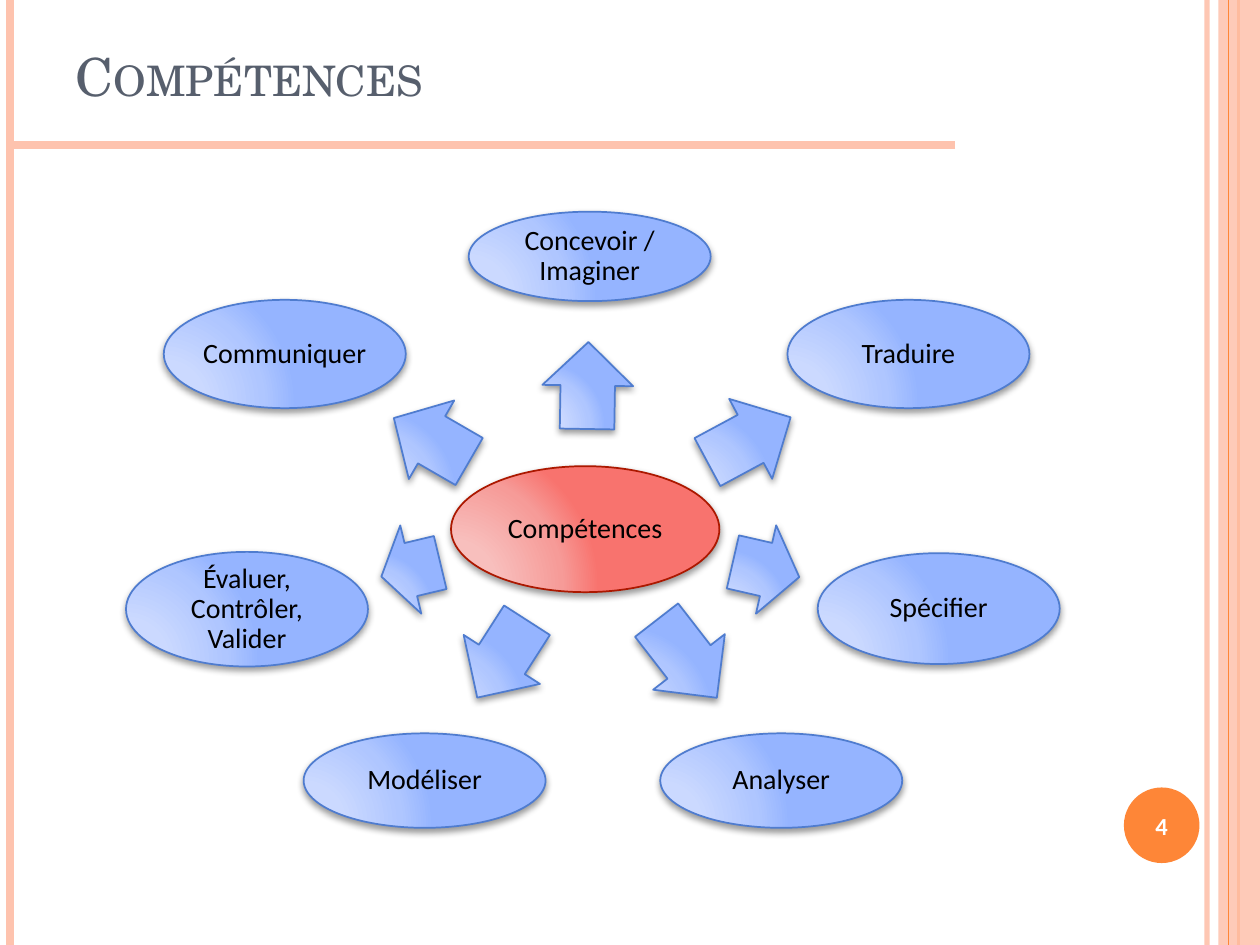
from dataclasses import dataclass

import lxml.etree
import pptx
import pptx.dml.color
import pptx.enum.shapes
import pptx.enum.text
import pptx.oxml
import pptx.oxml.ns
import pptx.util

Inches = pptx.util.Inches
Pt = pptx.util.Pt
RGBColor = pptx.dml.color.RGBColor
Shapes = pptx.enum.shapes.MSO_SHAPE
Align = pptx.enum.text.PP_ALIGN
Anchor = pptx.enum.text.MSO_ANCHOR
qn = pptx.oxml.ns.qn

PEACH = RGBColor(0xFE, 0xC3, 0xAE)
ORANGE = RGBColor(0xFE, 0x86, 0x37)
SLATE = RGBColor(0x57, 0x5F, 0x6D)
WHITE = RGBColor(0xFF, 0xFF, 0xFF)
BLACK = RGBColor(0, 0, 0)
BLUE_LINE = RGBColor(0x4F, 0x7C, 0xCF)
RED_LINE = RGBColor(0xAC, 0x18, 0x00)
BLUES = [RGBColor.from_string(c) for c in ("CFDCFF", "CBD9FF", "AFC6FF", "95B4FF")]
REDS = [RGBColor.from_string(c) for c in ("F8C5C3", "F8BFBD", "F69B98", "F8736E")]
STOPS = (0, 30, 75, 100)

BUBBLE_WIDTH = 1.92
ARROW_HEIGHT = 0.72


@dataclass
class Rule:
    start: tuple[float, float]
    end: tuple[float, float]
    color: RGBColor
    width: float
    opacity: int = 100


@dataclass
class Skill:
    """A bubble and the arrow that leads to it from the hub."""
    text: str
    left: float
    top: float
    height: float
    arrow_left: float
    arrow_top: float
    arrow_width: float
    angle: float


def vertical(x: float, color: RGBColor, width: float, opacity: int = 100) -> Rule:
    return Rule((x, 0), (x, 7.5), color, width, opacity)


SIDE_RULES = [
    vertical(9.58, PEACH, 3, 93),
    vertical(0.08, PEACH, 4.5),
    vertical(9.83, ORANGE, 1.5),
]
INNER_RULE = vertical(9.75, ORANGE, 0.75)
TITLE_RULE = Rule((7.58, 1.15), (0.08, 1.15), PEACH, 4.5)

SKILLS = [
    Skill("Concevoir / Imaginer", 3.72, 1.68, 0.71, 4.32, 2.70, 0.69, 270.9),
    Skill("Traduire", 6.25, 2.38, 0.86, 5.57, 3.13, 0.75, 331.7),
    Skill("Spécifier", 6.49, 4.39, 0.88, 5.81, 4.16, 0.54, 12.9),
    Skill("Analyser", 5.24, 5.82, 0.75, 5.06, 4.87, 0.78, 52.2),
    Skill("Modéliser", 2.41, 5.82, 0.75, 3.62, 4.87, 0.73, 122.7),
    Skill("Évaluer, Contrôler, Valider", 1.00, 4.38, 0.91, 3.02, 4.16, 0.48, 166.6),
    Skill("Communiquer", 1.30, 2.38, 0.86, 3.08, 3.13, 0.69, 210),
]


def set_opacity(properties, opacity: int) -> None:
    color = next(properties.iter(qn("a:srgbClr")))
    lxml.etree.SubElement(color, qn("a:alpha"), val=str(opacity * 1000))


def draw_rule(slide, rule: Rule) -> None:
    points = [Inches(value) for value in (*rule.start, *rule.end)]
    line = slide.shapes.add_connector(pptx.enum.shapes.MSO_CONNECTOR.STRAIGHT, *points)
    line.line.color.rgb = rule.color
    line.line.width = Pt(rule.width)
    properties = line._element.spPr
    if rule.opacity < 100:
        set_opacity(properties, rule.opacity)
    lxml.etree.SubElement(properties, qn("a:effectLst"))


def add_flat(slide, kind, left: float, top: float, width: float, height: float,
             color: RGBColor):
    shape = slide.shapes.add_shape(
        kind, Inches(left), Inches(top), Inches(width), Inches(height))
    shape.shadow.inherit = False
    shape.fill.solid()
    shape.fill.fore_color.rgb = color
    shape.line.fill.background()
    return shape


def add_glossy(slide, kind, left: float, top: float, width: float, height: float,
               colors: list[RGBColor], outline: RGBColor):
    """Add a shape with a radial gradient, a thin outline and a soft shadow."""
    shape = slide.shapes.add_shape(
        kind, Inches(left), Inches(top), Inches(width), Inches(height))
    shape.line.color.rgb = outline
    shape.line.width = Pt(1)
    shape.shadow.inherit = False
    properties = shape._element.spPr
    stops = "".join(
        f'<a:gs pos="{stop * 1000}"><a:srgbClr val="{color}"/></a:gs>'
        for stop, color in zip(STOPS, colors))
    namespace = pptx.oxml.ns.nsdecls("a")
    properties.find(qn("a:ln")).addprevious(pptx.oxml.parse_xml(
        f'<a:gradFill {namespace} rotWithShape="1"><a:gsLst>{stops}</a:gsLst>'
        '<a:path path="circle"><a:fillToRect l="5000" t="100000" r="120000" b="10000"/>'
        '</a:path></a:gradFill>'))
    properties.find(qn("a:effectLst")).append(pptx.oxml.parse_xml(
        f'<a:outerShdw {namespace} blurRad="{Pt(4)}" dist="{Pt(2)}" dir="5400000" '
        'rotWithShape="0"><a:srgbClr val="000000"><a:alpha val="40000"/></a:srgbClr>'
        '</a:outerShdw>'))
    return shape


def write(shape, text: str, size: float, color: RGBColor, font: str = "Calibri",
          bold: bool = False, align=Align.CENTER):
    frame = shape.text_frame
    frame.text = text
    frame.word_wrap = True
    frame.vertical_anchor = Anchor.MIDDLE
    paragraph = frame.paragraphs[0]
    paragraph.alignment = align
    run = paragraph.runs[0]
    run.font.name = font
    run.font.size = Pt(size)
    run.font.bold = bold
    run.font.color.rgb = color
    return run


def add_bubble(slide, text: str, left: float, top: float, width: float, height: float,
               colors: list[RGBColor], outline: RGBColor) -> None:
    bubble = add_glossy(slide, Shapes.OVAL, left, top, width, height, colors, outline)
    write(bubble, text, 16, BLACK)
    frame = bubble.text_frame
    frame.margin_left = frame.margin_right = Inches(0.02)
    frame.margin_top = frame.margin_bottom = Inches(0.02)
    frame.paragraphs[0].line_spacing = 0.9


def add_arrow(slide, skill: Skill) -> None:
    arrow = add_glossy(slide, Shapes.RIGHT_ARROW, skill.arrow_left, skill.arrow_top,
                       skill.arrow_width, ARROW_HEIGHT, BLUES, BLUE_LINE)
    arrow.adjustments[0] = 0.6
    arrow.adjustments[1] = 0.5
    arrow.rotation = skill.angle


presentation = pptx.Presentation()
presentation.slide_width = Inches(10)
presentation.slide_height = Inches(7.5)
slide = presentation.slides.add_slide(presentation.slide_layouts[5])

# Frame
for rule in SIDE_RULES:
    draw_rule(slide, rule)
band = add_flat(slide, Shapes.RECTANGLE, 9.67, 0, 0.33, 7.5, PEACH)
set_opacity(band._element.spPr, 87)
draw_rule(slide, INNER_RULE)
draw_rule(slide, TITLE_RULE)

# Slide number
badge = add_flat(slide, Shapes.OVAL, 8.92, 6.25, 0.6, 0.6, ORANGE)
write(badge, "4", 14, WHITE, bold=True)

# Title
title = slide.shapes.title
title.left, title.top = Inches(0.5), Inches(0.13)
title.width, title.height = Inches(8.17), Inches(0.94)
title_run = write(title, "Compétences", 30, SLATE, "TeX Gyre Schola", align=Align.LEFT)
title_run.font._element.set("cap", "small")

# Hub and skills
add_bubble(slide, "Compétences", 3.58, 3.7, 2.13, 1, REDS, RED_LINE)
for skill in SKILLS:
    add_arrow(slide, skill)
    add_bubble(slide, skill.text, skill.left, skill.top, BUBBLE_WIDTH, skill.height,
               BLUES, BLUE_LINE)

presentation.save("out.pptx")
